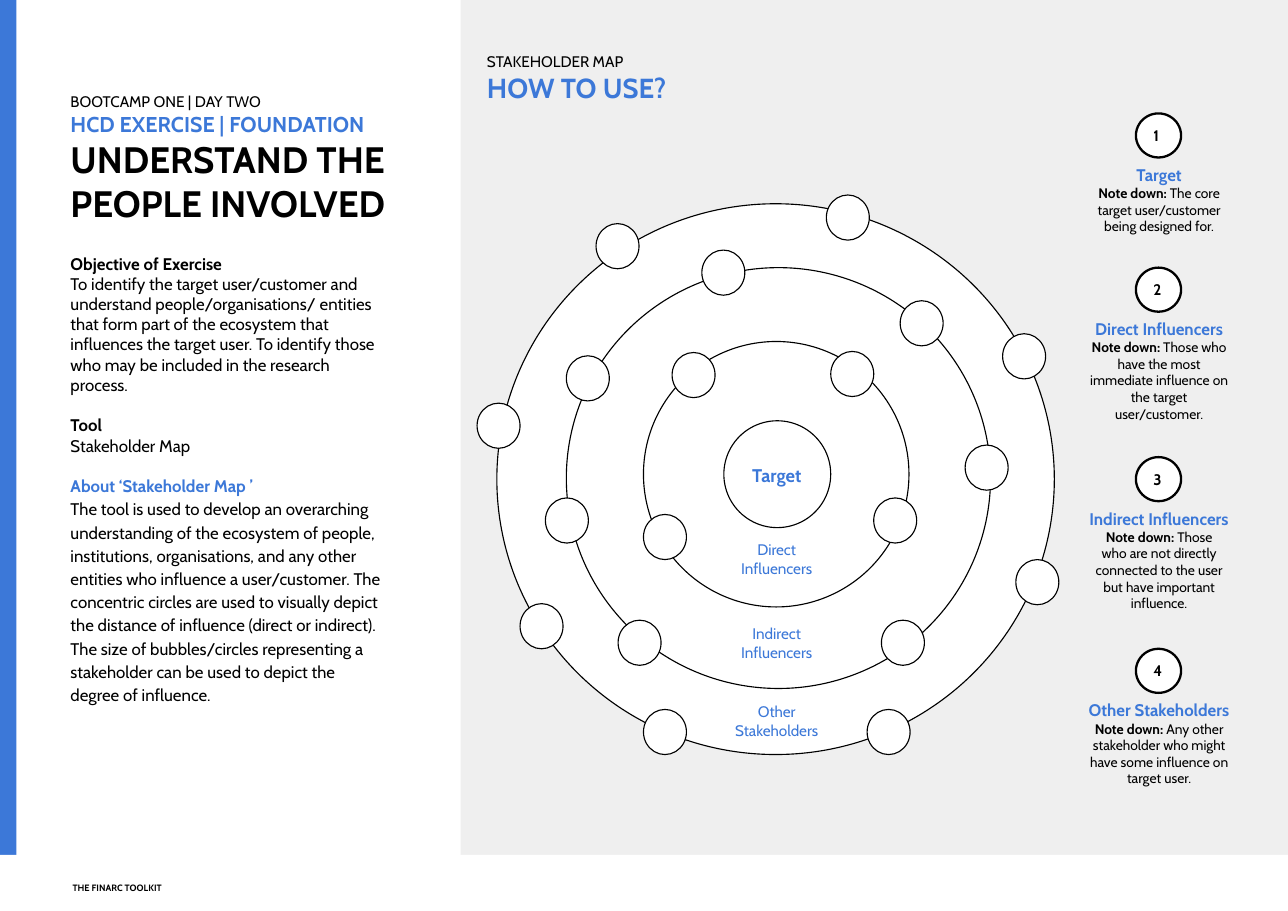
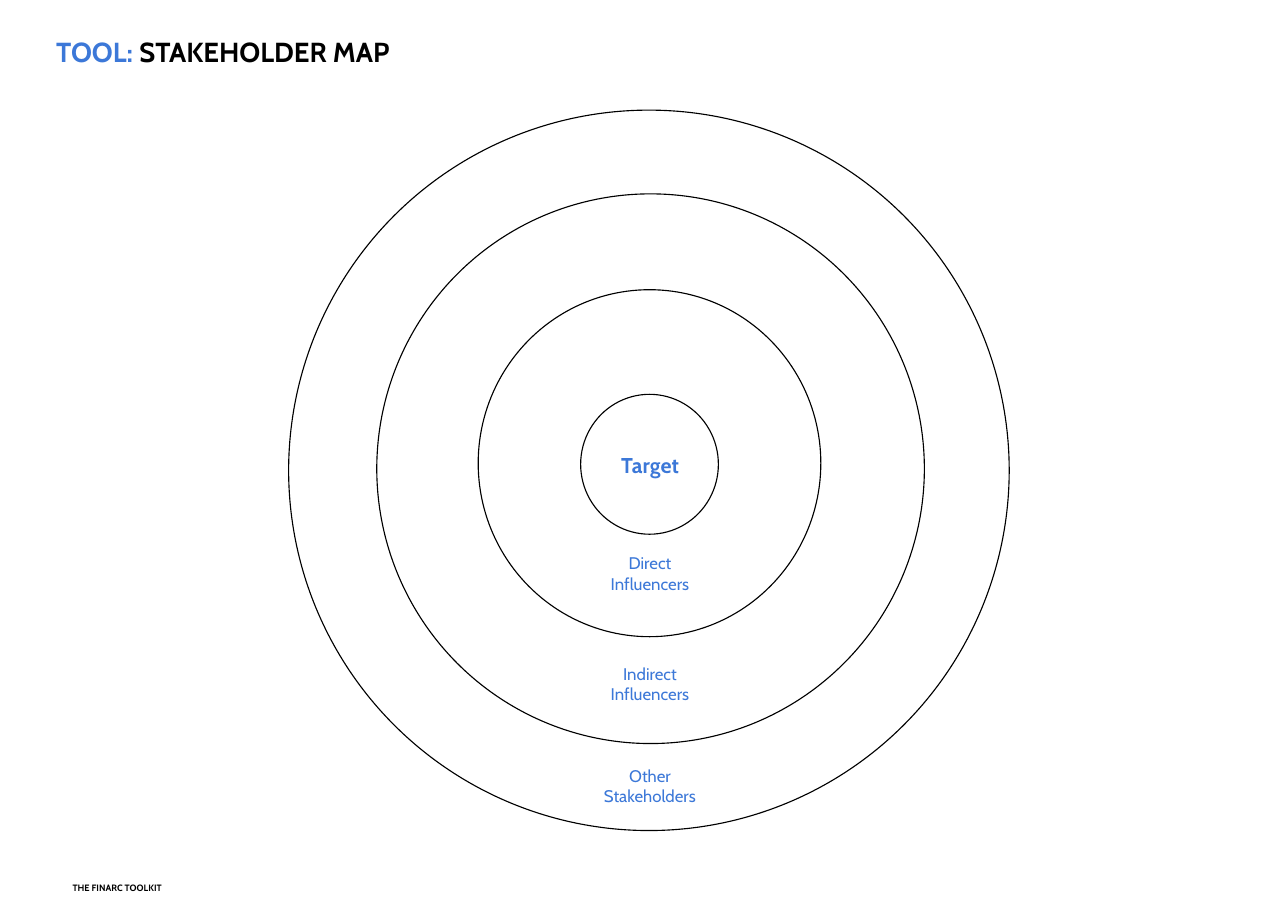
"""Builds the two stakeholder map slides on a grid of tenth-inch cells."""
from dataclasses import dataclass, field
from typing import NamedTuple

from pptx import Presentation
from pptx.dml.color import RGBColor
from pptx.enum.shapes import MSO_SHAPE
from pptx.enum.text import MSO_ANCHOR, PP_ALIGN
from pptx.util import Inches, Pt

BLUE = RGBColor(0x3C, 0x78, 0xD8)
BLACK = RGBColor(0x00, 0x00, 0x00)
WHITE = RGBColor(0xFF, 0xFF, 0xFF)
GREY = RGBColor(0xEF, 0xEF, 0xEF)
FONT = "Cabin"

CELL = Inches(0.1)
COLS, ROWS = 116.9, 82.7
TITLE_INSET, TEXT_INSET = 1.3, 1.0


class Box(NamedTuple):
    """Left, top, width and height in grid cells."""
    x: float
    y: float
    w: float
    h: float

    def emu(self) -> list[int]:
        """Returns the box in drawing units."""
        return [round(v * CELL) for v in self]


class Run(NamedTuple):
    """A stretch of text in one format."""
    text: str
    size: float
    color: RGBColor = BLACK
    bold: bool = False


@dataclass
class Para:
    """A paragraph of runs with its paragraph format."""
    runs: list[Run]
    fmt: dict = field(default_factory=dict)


class Step(NamedTuple):
    """One numbered instruction."""
    row: float
    heading: str
    notes: list[str]


class Label(NamedTuple):
    """Centred lines of text on the map."""
    row: float
    lines: list[str]


@dataclass
class StakeholderMap:
    """Rings from the outside in, with their labels."""
    rings: list[Box]
    axis: float
    label_width: float
    label_height: float
    label_size: float
    target_row: float
    target_width: float
    target_size: float
    labels: list[Label]


CENTER = {"alignment": PP_ALIGN.CENTER}
RING_NAMES = [["Direct", "Influencers"], ["Indirect", "Influencers"], ["Other", "Stakeholders"]]

GUIDE_MAP = StakeholderMap(
    rings=[Box(45.1, 18.5, 50.6, 50), Box(51.4, 24.3, 38.5, 38.2),
           Box(58.4, 31, 24.1, 24.1), Box(65.7, 38.2, 9.7, 9.7)],
    axis=70.5, label_width=19, label_height=3.3, label_size=10,
    target_row=41.5, target_width=11.5, target_size=12,
    labels=[Label(row, name) for row, name in zip((49.1, 56.7, 63.8), RING_NAMES)],
)
TOOL_MAP = StakeholderMap(
    rings=[Box(26.2, 10, 65.4, 65.4), Box(34.2, 17.6, 49.7, 49.9),
           Box(43.4, 26.3, 31.1, 31.5), Box(52.7, 35.8, 12.5, 12.7)],
    axis=59, label_width=24.6, label_height=4.3, label_size=11,
    target_row=40.1, target_width=14.9, target_size=14,
    labels=[Label(row, name) for row, name in zip((49.9, 59.9, 69.2), RING_NAMES)],
)
BUBBLES = [
    (61, 32), (75.4, 31.9), (79.3, 45.2), (58.4, 46.7),
    (51.4, 32.3), (63.7, 22.7), (81.7, 27.3), (87.6, 40.4), (49.5, 45.2), (56.1, 56.3), (80, 56.3),
    (78.7, 64.4), (92.2, 50.8), (91, 30.3), (75, 17.7), (54.1, 20.3), (43.3, 36.6), (47.2, 54.8),
    (58.4, 64.4),
]
STEPS = [
    Step(10.3, "Target", ["The core target user/customer being designed for."]),
    Step(24.3, "Direct Influencers",
         ["Those who have the most immediate influence on the target user/customer."]),
    Step(41.5, "Indirect Influencers",
         ["Those", "who are not directly connected to the user but have important influence."]),
    Step(58.9, "Other Stakeholders",
         ["Any other stakeholder who might have some influence on target user."]),
]
OBJECTIVE = (
    "To identify the target user/customer and understand people/organisations/ entities that "
    "form part of the ecosystem that influences the target user. To identify those who may be "
    "included in the research process."
)
ABOUT = (
    "The tool is used to develop an overarching understanding of the ecosystem of people, "
    "institutions, organisations, and any other entities who influence a user/customer. The "
    "concentric circles are used to visually depict the distance of influence (direct or "
    "indirect). The size of bubbles/circles representing a stakeholder can be used to depict "
    "the degree of influence."
)


def write(sp, paras: list[Para], anchor: MSO_ANCHOR, inset: float) -> None:
    """Fills a shape with formatted paragraphs."""
    tf = sp.text_frame
    margin = round(inset * CELL)
    frame = {"word_wrap": True, "vertical_anchor": anchor, "margin_left": margin,
             "margin_right": margin, "margin_top": margin, "margin_bottom": margin}
    for name, value in frame.items():
        setattr(tf, name, value)
    for i, para in enumerate(paras):
        p = tf.add_paragraph() if i else tf.paragraphs[0]
        for name, value in ({"alignment": PP_ALIGN.LEFT} | para.fmt).items():
            setattr(p, name, value)
        for run in para.runs:
            r = p.add_run()
            r.text = run.text
            for name, value in {"name": FONT, "size": Pt(run.size), "bold": run.bold}.items():
                setattr(r.font, name, value)
            r.font.color.rgb = run.color


def add_text(s, box: Box, paras: list[Para], anchor: MSO_ANCHOR = MSO_ANCHOR.TOP,
             inset: float = TEXT_INSET) -> None:
    """Adds a text box."""
    write(s.shapes.add_textbox(*box.emu()), paras, anchor, inset)


def add_title(s, box: Box, paras: list[Para]) -> None:
    """Adds a title that sits on the bottom of its box."""
    add_text(s, box, paras, MSO_ANCHOR.BOTTOM, TITLE_INSET)


def add_panel(s, box: Box, color: RGBColor) -> None:
    """Adds a plain rectangle without an outline."""
    sp = s.shapes.add_shape(MSO_SHAPE.RECTANGLE, *box.emu())
    sp.shadow.inherit = False
    sp.fill.solid()
    sp.fill.fore_color.rgb = color
    sp.line.fill.background()


def add_circle(s, box: Box, weight: float = 0.75):
    """Adds a white circle with a black outline."""
    sp = s.shapes.add_shape(MSO_SHAPE.OVAL, *box.emu())
    sp.shadow.inherit = False
    sp.fill.solid()
    sp.fill.fore_color.rgb = WHITE
    sp.line.color.rgb = BLACK
    sp.line.width = Pt(weight)
    return sp


def add_map(s, m: StakeholderMap) -> None:
    """Draws the rings and their labels."""
    for ring in m.rings:
        add_circle(s, ring)
    target = Box(m.axis - m.target_width / 2, m.target_row, m.target_width, m.label_height)
    add_text(s, target, [Para([Run("Target", m.target_size, BLUE, True)], CENTER)],
             MSO_ANCHOR.MIDDLE)
    for label in m.labels:
        box = Box(m.axis - m.label_width / 2, label.row, m.label_width, m.label_height)
        paras = [Para([Run(line, m.label_size, BLUE)], CENTER) for line in label.lines]
        add_text(s, box, paras, MSO_ANCHOR.MIDDLE)


def add_step(s, number: int, step: Step) -> None:
    """Draws a numbered circle with its instruction below."""
    sp = add_circle(s, Box(103.1, step.row, 4.1, 4), 1.5)
    write(sp, [Para([Run(str(number), 10, BLACK, True)])], MSO_ANCHOR.MIDDLE, TEXT_INSET)
    first, *others = step.notes
    paras = [
        Para([Run(step.heading, 11, BLUE, True)], CENTER),
        Para([Run("Note down: ", 9, BLACK, True), Run(first, 9)], CENTER),
        *(Para([Run(note, 9)], CENTER) for note in others),
    ]
    add_text(s, Box(97.6, step.row + 3.65, 15.2, 7.7), paras)


def add_footer(s) -> None:
    """Draws the white band and the toolkit name."""
    add_panel(s, Box(0, 77.6, COLS, ROWS - 77.6), WHITE)
    add_text(s, Box(5.6, 78.7, 46.1, 2.9),
             [Para([Run("THE FINARC TOOLKIT", 6, BLACK, True)])], MSO_ANCHOR.BOTTOM)


def build_guide(s) -> None:
    """Builds the slide that explains the exercise."""
    add_panel(s, Box(41.8, 0, COLS - 41.8, ROWS), GREY)
    add_title(s, Box(5.1, 9.6, 31.2, 12.1), [
        Para([Run("BOOTCAMP ONE | DAY TWO", 10)]),
        Para([Run("HCD EXERCISE | FOUNDATION", 14, BLUE, True)]),
        Para([Run("UNDERSTAND THE PEOPLE INVOLVED", 24, BLACK, True)]),
    ])
    gap = {"space_before": Pt(13.3)}
    add_text(s, Box(5.1, 21.7, 31.2, 51.3), [
        Para([Run("Objective of Exercise", 11, BLACK, True)]),
        Para([Run(OBJECTIVE, 11)]),
        Para([Run("Tool", 11, BLACK, True)], gap),
        Para([Run("Stakeholder Map", 11)]),
        Para([Run("About ‘Stakeholder Map ’", 11, BLUE, True)], gap),
        Para([Run(ABOUT, 11)], {"line_spacing": 1.15}),
    ], inset=TITLE_INSET)
    add_title(s, Box(42.9, 3, 55.2, 7.7), [
        Para([Run("STAKEHOLDER MAP", 10)]),
        Para([Run("HOW TO USE?", 18, BLUE, True)]),
    ])
    for number, step in enumerate(STEPS, 1):
        add_step(s, number, step)
    add_map(s, GUIDE_MAP)
    for x, y in BUBBLES:
        add_circle(s, Box(x, y, 3.9, 4.1))
    add_panel(s, Box(0, 0, 1.5, ROWS), BLUE)


def build_tool(s) -> None:
    """Builds the slide with the empty map."""
    add_map(s, TOOL_MAP)
    add_title(s, Box(3.8, 3.2, 53.9, 4.3), [
        Para([Run("TOOL:", 18, BLUE, True), Run(" STAKEHOLDER MAP", 18, BLACK, True)]),
    ])


def main() -> None:
    """Builds and saves the presentation."""
    prs = Presentation()
    prs.slide_width, prs.slide_height = round(COLS * CELL), round(ROWS * CELL)
    for build in (build_guide, build_tool):
        s = prs.slides.add_slide(prs.slide_layouts[6])
        build(s)
        add_footer(s)
    prs.save("out.pptx")


if __name__ == "__main__":
    main()
